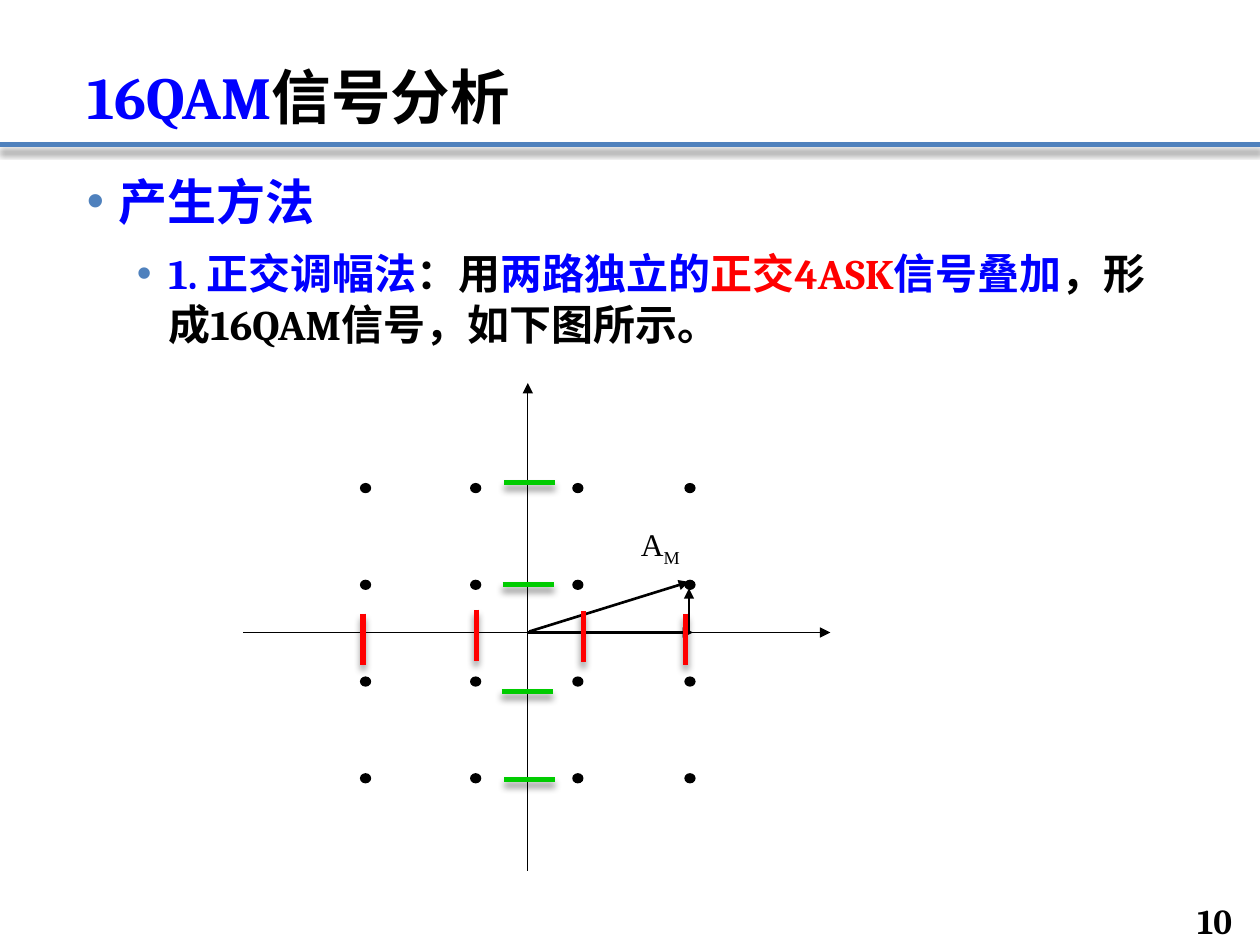
from lxml import etree
from pptx import Presentation
from pptx.dml.color import RGBColor
from pptx.enum import lang, shapes, text
from pptx.oxml import ns
from pptx.util import Cm, Pt

COLORS = {"black": "000000", "blue": "0000FF", "red": "FF0000",
          "green": "00CC00", "accent": "4F81BD"}
HEADING_FONT, LABEL_FONT = "Cambria", "Times New Roman"

TITLE = [("16QAM", "blue"), ("信号分析", "black")]
# (runs, size, left margin, space before)
BODY = [
    ([("产生方法", "blue")], 28, 0.64, 0),
    ([("1. 正交调幅法", "blue"), ("：用", "black"), ("两路独立的", "blue"),
      ("正交4ASK", "red"), ("信号叠加", "blue"),
      ("，形成16QAM信号，如下图所示。", "black")], 24, 1.65, 10),
]
BULLET_HANG = 0.64

DOT_COLUMNS = [7.37, 9.59, 11.65, 13.91]
DOT_ROWS = [9.84 + 1.95 * row for row in range(4)]
DOT_WIDTH, DOT_HEIGHT = 0.2, 0.18
# (start x, start y, end x, end y), arrowhead at the end
AXES = [(4.9, 12.75, 16.74, 12.75), (10.64, 17.55, 10.64, 7.72)]
VECTORS = [(10.67, 12.73, 13.89, 11.73), (10.62, 12.75, 13.97, 12.75),
           (13.89, 12.75, 13.89, 11.86)]
TICK_LENGTH = 1.03
X_TICKS = [(7.32, 12.37), (9.6, 12.29), (11.76, 12.32), (13.82, 12.37)]
Y_TICKS = [(10.16, 9.73), (10.13, 11.79), (10.11, 13.94), (10.16, 15.72)]


def rgb(color):
    return RGBColor.from_string(COLORS[color])


def add_child(parent, tag, **attributes):
    return etree.SubElement(parent, ns.qn(tag), attributes)


def add_span(para, words, color, size, font=HEADING_FONT, bold=True):
    span = para.add_run()
    span.text = words
    span.font.name = font
    span.font.size = Pt(size)
    span.font.bold = bold
    span.font.color.rgb = rgb(color)
    span.font.language_id = lang.MSO_LANGUAGE_ID.SIMPLIFIED_CHINESE
    return span


def add_box(page, left, top, width, height):
    box = page.shapes.add_textbox(Cm(left), Cm(top), Cm(width), Cm(height))
    box.text_frame.word_wrap = True
    return box.text_frame


def add_bullet(para, margin):
    properties = para._p.get_or_add_pPr()
    properties.set("marL", str(Cm(margin)))
    properties.set("indent", str(-Cm(BULLET_HANG)))
    color = add_child(properties, "a:buClr")
    add_child(color, "a:srgbClr", val=COLORS["accent"])
    add_child(properties, "a:buFont", typeface="Arial")
    add_child(properties, "a:buChar", char="•")


def add_line(page, ends, color, width, arrow=False, shadow=False):
    line = page.shapes.add_connector(shapes.MSO_CONNECTOR.STRAIGHT,
                                     *(Cm(value) for value in ends))
    line.line.color.rgb = rgb(color)
    line.line.width = Pt(width)
    if arrow:
        add_child(line.line._get_or_add_ln(), "a:tailEnd", type="triangle")
    effects = add_child(line._element.spPr, "a:effectLst")
    if shadow:
        outer = add_child(effects, "a:outerShdw", blurRad=str(Pt(4)),
                          dist=str(Pt(3)), dir="5400000", rotWithShape="0")
        shade = add_child(outer, "a:srgbClr", val=COLORS["black"])
        add_child(shade, "a:alpha", val="43000")


def add_dot(page, x, y):
    dot = page.shapes.add_shape(
        shapes.MSO_SHAPE.OVAL, Cm(x - DOT_WIDTH / 2), Cm(y - DOT_HEIGHT / 2),
        Cm(DOT_WIDTH), Cm(DOT_HEIGHT))
    dot.shadow.inherit = False
    dot.fill.solid()
    dot.fill.fore_color.rgb = rgb("black")
    dot.line.color.rgb = rgb("black")
    dot.line.width = Pt(0.75)


def add_texts(page):
    title = page.shapes.title
    title.left, title.top, title.width, title.height = (
        Cm(1.5), Cm(0.53), Cm(22.4), Cm(2.26))
    title.text_frame.vertical_anchor = text.MSO_ANCHOR.BOTTOM
    para = title.text_frame.paragraphs[0]
    para.alignment = text.PP_ALIGN.LEFT
    para.line_spacing = 0.9
    for words, color in TITLE:
        add_span(para, words, color, 34)

    body = add_box(page, 1.5, 3.33, 22.4, 14)
    for index, (runs, size, margin, space) in enumerate(BODY):
        para = body.add_paragraph() if index else body.paragraphs[0]
        para.level = index
        if space:
            para.space_before = Pt(space)
        add_bullet(para, margin)
        for words, color in runs:
            add_span(para, words, color, size)

    number = add_box(page, 23.34, 18.21, 1.75, 0.71)
    number.vertical_anchor = text.MSO_ANCHOR.MIDDLE
    number.paragraphs[0].alignment = text.PP_ALIGN.RIGHT
    add_span(number.paragraphs[0], "10", "black", 20)


def add_constellation(page):
    label = add_box(page, 12.67, 10.46, 2.31, 1.3).paragraphs[0]
    label.alignment = text.PP_ALIGN.JUSTIFY
    add_span(label, "A", "black", 18, LABEL_FONT, False)
    subscript = add_span(label, "M", "black", 18, LABEL_FONT, False)
    subscript._r.get_or_add_rPr().set("baseline", "-25000")

    for x in DOT_COLUMNS:
        for y in DOT_ROWS:
            add_dot(page, x, y)
    for ends in AXES:
        add_line(page, ends, "black", 0.75, arrow=True)
    for ends in VECTORS:
        add_line(page, ends, "black", 1.5, arrow=True)
    for x, y in X_TICKS:
        add_line(page, (x, y, x, y + TICK_LENGTH), "red", 3, shadow=True)
    for x, y in Y_TICKS:
        add_line(page, (x, y, x + TICK_LENGTH, y), "green", 3, shadow=True)


def main():
    deck = Presentation()
    deck.slide_width, deck.slide_height = Cm(25.4), Cm(19.05)
    page = deck.slides.add_slide(deck.slide_layouts[5])
    add_line(page, (0, 2.92, 25.4, 2.92), "accent", 3, shadow=True)
    add_texts(page)
    add_constellation(page)
    deck.save("out.pptx")


if __name__ == "__main__":
    main()
